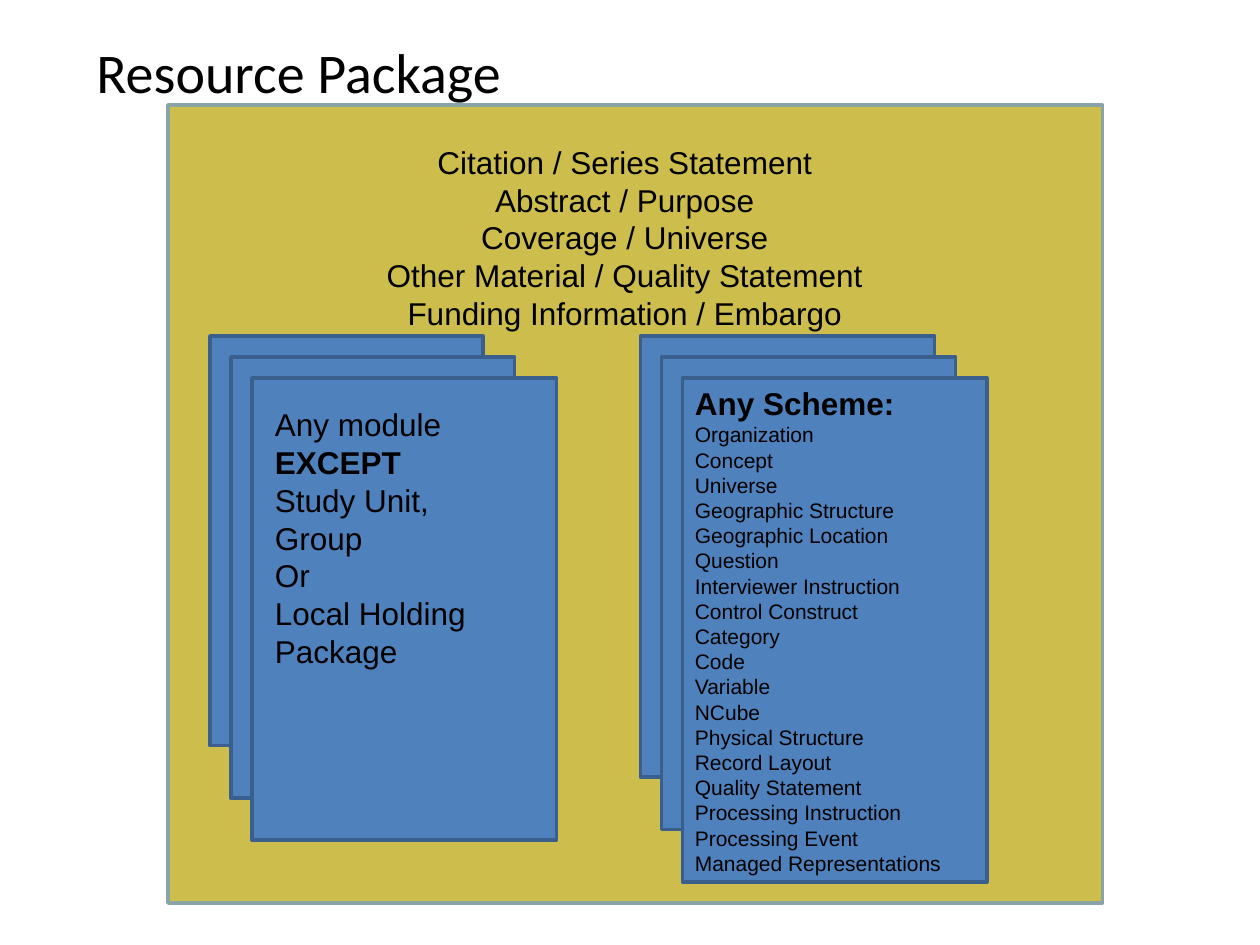
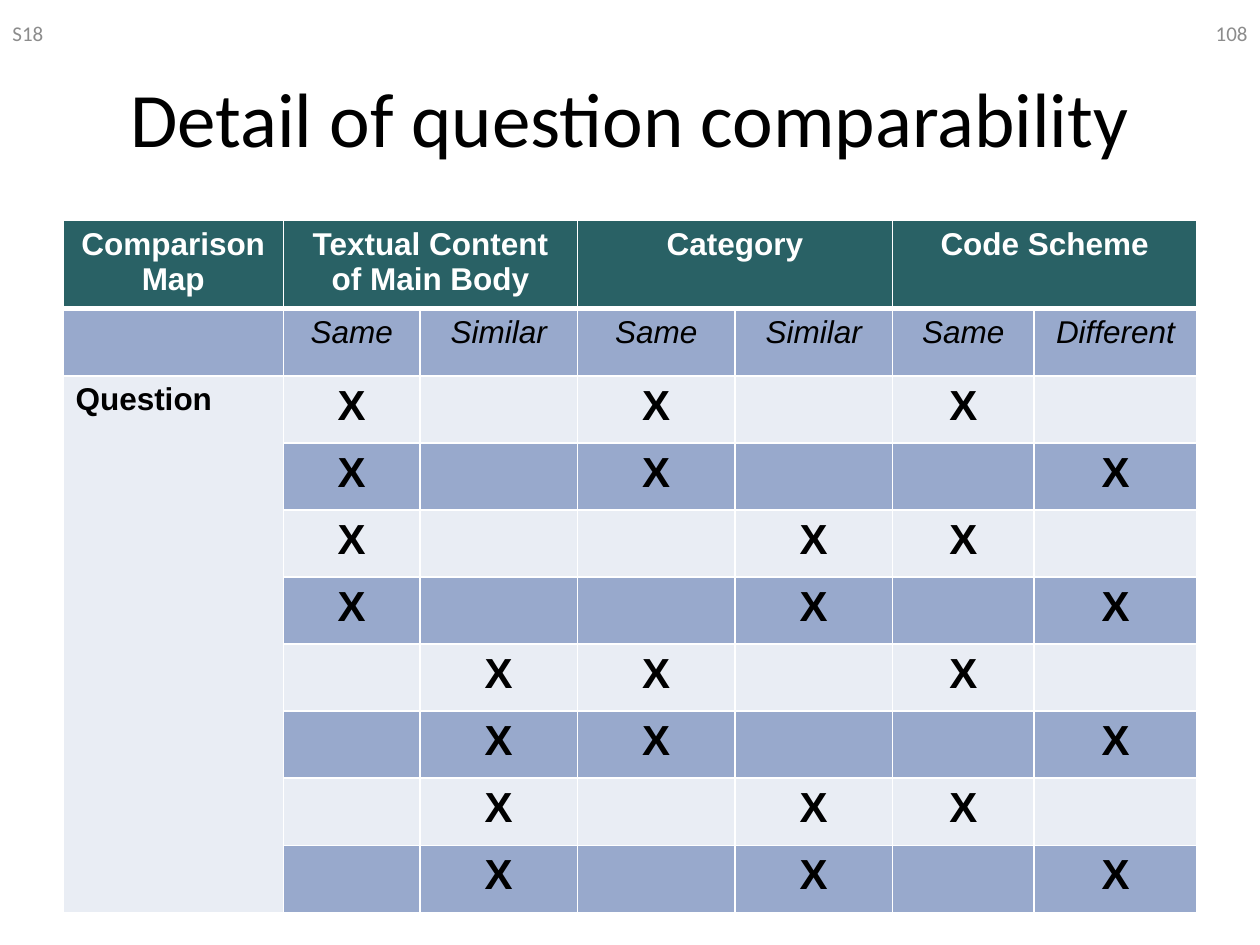
from dataclasses import dataclass
from itertools import product

from lxml.etree import SubElement
from pptx import Presentation
from pptx.dml.color import RGBColor
from pptx.enum.shapes import MSO_SHAPE as Preset
from pptx.enum.text import MSO_ANCHOR as Anchor, PP_ALIGN as Align
from pptx.oxml.ns import qn
from pptx.slide import Slide
from pptx.table import _Cell as Cell
from pptx.text.text import _Paragraph as Paragraph
from pptx.util import Pt

BLACK = RGBColor(0x00, 0x00, 0x00)
WHITE = RGBColor(0xFF, 0xFF, 0xFF)
GRAY = RGBColor(0x8C, 0x8C, 0x8C)
MUSTARD = RGBColor(0xCC, 0xBD, 0x4C)
SAGE = RGBColor(0x89, 0xA4, 0xA7)
BLUE = RGBColor(0x4F, 0x81, 0xBD)
NAVY = RGBColor(0x3A, 0x5F, 0x8C)
TEAL = RGBColor(0x29, 0x61, 0x65)
BAND_DARK = RGBColor(0x98, 0xA9, 0xCC)
BAND_LIGHT = RGBColor(0xE9, 0xED, 0xF4)

HEADING_FONT = "Calibri"
BODY_FONT = "Arial"
LINE_FACTOR = 1.2
STACK_STEP = 12


@dataclass(frozen=True)
class Area:
    left: float
    top: float
    width: float
    height: float

    def lengths(self) -> tuple[Pt, Pt, Pt, Pt]:
        return Pt(self.left), Pt(self.top), Pt(self.width), Pt(self.height)


@dataclass(frozen=True)
class Style:
    size: float
    font: str = BODY_FONT
    color: RGBColor = BLACK
    bold: bool = False
    italic: bool = False
    align: Align = Align.LEFT


@dataclass(frozen=True)
class Line:
    text: str
    style: Style


@dataclass(frozen=True)
class Stack:
    left: float
    top: float
    sheets: tuple[tuple[float, float], ...]


BODY = Style(18)
BODY_BOLD = Style(18, bold=True)
BODY_CENTERED = Style(18, align=Align.CENTER)
SCHEME = Style(12)
SMALL_TITLE = Style(32, HEADING_FONT)
TITLE = Style(44, HEADING_FONT, align=Align.CENTER)
FOOTER_LEFT = Style(12, HEADING_FONT, GRAY)
FOOTER_RIGHT = Style(12, HEADING_FONT, GRAY, align=Align.RIGHT)
TABLE_HEADER = Style(18, color=WHITE, bold=True, align=Align.CENTER)
TABLE_CHOICE = Style(18, italic=True, align=Align.CENTER)
TABLE_MARK = Style(24, bold=True, align=Align.CENTER)

STACKS = (
    Stack(120, 192, ((156, 234), (162, 252), (174, 264))),
    Stack(366, 192, ((168, 252), (168, 270), (174, 288))),
)
MODULE_LINES = (
    Line("Any module", BODY),
    Line("EXCEPT", BODY_BOLD),
    Line("Study Unit,", BODY),
    Line("Group", BODY),
    Line("Or", BODY),
    Line("Local Holding Package", BODY),
)
SCHEMES = (
    "Organization",
    "Concept",
    "Universe",
    "Geographic Structure Geographic Location Question",
    "Interviewer Instruction",
    "Control Construct",
    "Category",
    "Code",
    "Variable",
    "NCube",
    "Physical Structure",
    "Record Layout",
    "Quality Statement",
    "Processing Instruction",
    "Processing Event",
    "Managed Representations",
)
PACKAGE_DETAILS = (
    "Citation / Series Statement",
    "Abstract / Purpose",
    "Coverage / Universe",
    "Other Material / Quality Statement",
    "Funding Information / Embargo",
)

COLUMN_WIDTHS = (126, 78, 90, 90, 90, 81, 93)
HEADER_HEIGHT = 47.5
ROW_HEIGHT = 38.35
ASPECTS = ("Textual Content of Main Body", "Category", "Code Scheme")
CHOICES = ("Same", "Similar", "Same", "Similar", "Same", "Different")
COMBINATIONS = tuple(product((0, 1), repeat=len(ASPECTS)))


def write(para: Paragraph, text: str, style: Style) -> None:
    para.text = text
    para.alignment = style.align
    for span in para.runs:
        span.font.name = style.font
        span.font.size = Pt(style.size)
        span.font.bold = style.bold
        span.font.italic = style.italic
        span.font.color.rgb = style.color


def add_text(page: Slide, area: Area, lines: tuple[Line, ...],
             anchor: Anchor = Anchor.TOP, fixed_spacing: bool = False) -> None:
    frame = page.shapes.add_textbox(*area.lengths()).text_frame
    frame.word_wrap = True
    frame.vertical_anchor = anchor
    frame.text = "\n".join(line.text for line in lines)
    for para, line in zip(frame.paragraphs, lines):
        write(para, line.text, line.style)
        if fixed_spacing:
            para.line_spacing = Pt(line.style.size * LINE_FACTOR)


def add_panel(page: Slide, area: Area, fill: RGBColor, outline: RGBColor) -> None:
    panel = page.shapes.add_shape(Preset.RECTANGLE, *area.lengths())
    panel.shadow.inherit = False
    panel.fill.solid()
    panel.fill.fore_color.rgb = fill
    panel.line.color.rgb = outline
    panel.line.width = Pt(2)


def add_stack(page: Slide, stack: Stack) -> None:
    for index, (width, height) in enumerate(stack.sheets):
        shift = index * STACK_STEP
        area = Area(stack.left + shift, stack.top + shift, width, height)
        add_panel(page, area, BLUE, NAVY)


def set_border(cell: Cell, side: str, width: float) -> None:
    border = SubElement(cell._tc.get_or_add_tcPr(), qn(f"a:ln{side}"), w=str(Pt(width)))
    fill = SubElement(border, qn("a:solidFill"))
    SubElement(fill, qn("a:srgbClr"), val=str(WHITE))


def paint_cell(cell: Cell, row: int, fill: RGBColor) -> None:
    widths = {"L": 1, "R": 1, "T": 3 if row == 1 else 1, "B": 3 if row == 0 else 1}
    for side, width in widths.items():
        set_border(cell, side, width)
    cell.fill.solid()
    cell.fill.fore_color.rgb = fill


def row_color(row: int) -> RGBColor:
    if row == 0:
        return TEAL
    return BAND_DARK if row % 2 else BAND_LIGHT


def add_comparison_table(page: Slide) -> None:
    row_count = 2 + len(COMBINATIONS)
    area = Area(36, 126, sum(COLUMN_WIDTHS), HEADER_HEIGHT + ROW_HEIGHT * (row_count - 1))
    table = page.shapes.add_table(row_count, len(COLUMN_WIDTHS), *area.lengths()).table
    for column, width in zip(table.columns, COLUMN_WIDTHS):
        column.width = Pt(width)
    for index, row in enumerate(table.rows):
        row.height = Pt(ROW_HEIGHT if index else HEADER_HEIGHT)
        for cell in row.cells:
            paint_cell(cell, index, row_color(index))

    def fill_in(row: int, column: int, text: str, style: Style) -> None:
        write(table.cell(row, column).text_frame.paragraphs[0], text, style)

    fill_in(0, 0, "Comparison Map", TABLE_HEADER)
    for index, aspect in enumerate(ASPECTS):
        first = 1 + 2 * index
        table.cell(0, first).merge(table.cell(0, first + 1))
        fill_in(0, first, aspect, TABLE_HEADER)
    for column, choice in enumerate(CHOICES, 1):
        fill_in(1, column, choice, TABLE_CHOICE)
    table.cell(2, 0).merge(table.cell(row_count - 1, 0))
    fill_in(2, 0, "Question", BODY_BOLD)
    for row, combination in enumerate(COMBINATIONS, 2):
        for index, choice in enumerate(combination):
            fill_in(row, 1 + 2 * index + choice, "X", TABLE_MARK)


def build_resource_package(page: Slide) -> None:
    add_panel(page, Area(96, 60, 534, 456), MUSTARD, SAGE)
    add_text(page, Area(48, 18, 648, 498), (Line("Resource Package", SMALL_TITLE),))
    for stack in STACKS:
        add_stack(page, stack)
    schemes = (Line("Any Scheme:", BODY_BOLD), *(Line(name, SCHEME) for name in SCHEMES))
    details = tuple(Line(detail, BODY_CENTERED) for detail in PACKAGE_DETAILS)
    add_text(page, Area(150, 228, 144, 160), MODULE_LINES, fixed_spacing=True)
    add_text(page, Area(390, 216, 168, 291), schemes, fixed_spacing=True)
    add_text(page, Area(138, 78, 438, 115), details, fixed_spacing=True)


def build_question_comparability(page: Slide) -> None:
    title = Line("Detail of question comparability", TITLE)
    add_text(page, Area(36, 21.6, 648, 90), (title,), Anchor.MIDDLE)
    add_comparison_table(page)
    add_text(page, Area(0, 0, 168, 37.5), (Line("S18", FOOTER_LEFT),), Anchor.MIDDLE)
    add_text(page, Area(552, 0, 168, 37.5), (Line("108", FOOTER_RIGHT),), Anchor.MIDDLE)


def main() -> None:
    deck = Presentation()
    deck.slide_width, deck.slide_height = Pt(720), Pt(540)
    blank = deck.slide_layouts[6]
    for build in (build_resource_package, build_question_comparability):
        build(deck.slides.add_slide(blank))
    deck.save("out.pptx")


if __name__ == "__main__":
    main()
